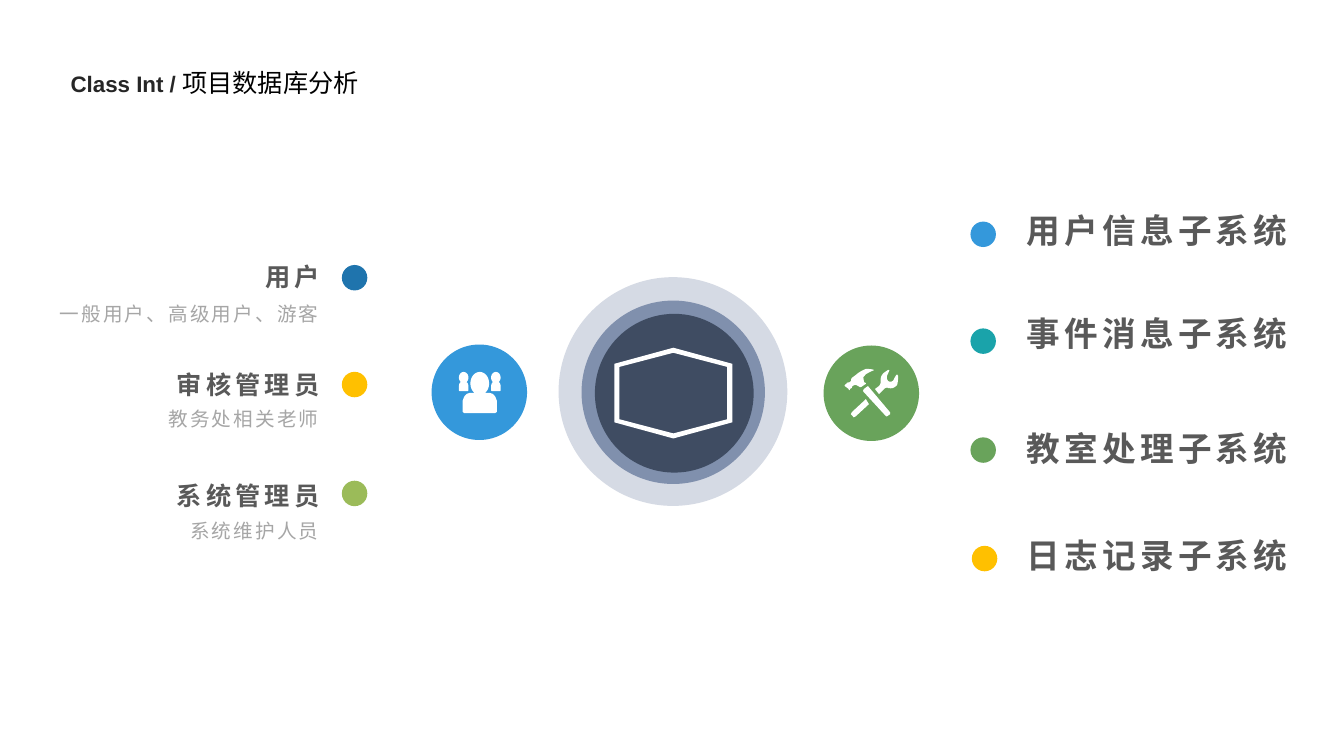
from dataclasses import dataclass
from math import cos, radians, sin

from lxml import etree
from pptx import Presentation
from pptx.dml.color import RGBColor
from pptx.enum import shapes as es, text as et
from pptx.oxml import ns
from pptx.util import Pt

CJK = "Noto Sans CJK SC"
Point = tuple[float, float]


@dataclass
class Circle:
    cx: float
    cy: float
    radius: float
    color: str


@dataclass
class Label:
    text: str
    left: float
    top: float
    width: float
    height: float
    style: dict
    right: bool = False
    heading: bool = True


@dataclass
class Person:
    cx: float
    head_y: float
    rx: float
    ry: float
    half: float
    bottom: float


def rgb(color: str) -> RGBColor:
    return RGBColor.from_string(color)


def paint(sp, color: str) -> None:
    sp.shadow.inherit = False
    sp.fill.solid()
    sp.fill.fore_color.rgb = rgb(color)
    sp.line.fill.background()


def add_run(p, words: str, color: str, spacing: float = 0, **font) -> None:
    r = p.add_run()
    r.text = words
    for name, value in font.items():
        setattr(r.font, name, value)
    r.font.color.rgb = rgb(color)
    props = r.font._element
    etree.SubElement(props, ns.qn("a:ea")).set("typeface", CJK)
    if spacing:
        props.set("spc", str(round(spacing * 100)))


def add_circle(s, c: Circle) -> None:
    box = (c.cx - c.radius, c.cy - c.radius, 2 * c.radius, 2 * c.radius)
    paint(s.shapes.add_shape(es.MSO_SHAPE.OVAL, *map(Pt, box)), c.color)


def add_label(s, d: Label) -> None:
    sp = s.shapes.add_textbox(*map(Pt, (d.left, d.top, d.width, d.height)))
    tf = sp.text_frame
    frame = {
        "word_wrap": True,
        "margin_top": Pt(3.6 if d.heading else 0),
        "margin_bottom": Pt(0 if d.heading else 3.6),
        "vertical_anchor": et.MSO_ANCHOR.BOTTOM if d.heading else et.MSO_ANCHOR.TOP,
        "auto_size": et.MSO_AUTO_SIZE.SHAPE_TO_FIT_TEXT if d.heading else et.MSO_AUTO_SIZE.NONE,
    }
    for name, value in frame.items():
        setattr(tf, name, value)
    p = tf.paragraphs[0]
    p.line_spacing = 1.2
    p.alignment = et.PP_ALIGN.RIGHT if d.right else et.PP_ALIGN.LEFT
    add_run(p, d.text, **d.style)


def add_outline(s, contours: list[list[Point]], color: str) -> None:
    scaled = [[(Pt(x), Pt(y)) for x, y in c] for c in contours]
    fb = s.shapes.build_freeform(*scaled[0][0], scale=1.0)
    for i, c in enumerate(scaled):
        if i:
            fb.move_to(*c[0])
        fb.add_line_segments(c[1:], close=True)
    paint(fb.convert_to_shape(), color)


def hexagon(half_w: float, half_h: float, side: float) -> list[Point]:
    corners = [(0, -half_h), (half_w, -side), (half_w, side),
               (0, half_h), (-half_w, side), (-half_w, -side)]
    return [(481 + x, 280.8 + y) for x, y in corners]


def person(d: Person) -> list[Point]:
    """Outline of a head above rounded shoulders."""
    neck = d.head_y + d.ry * sin(radians(55))
    profile = [(0.9, 1), (1, 0.92), (1, 0.4), (0.9, 0.18), (0.75, 0.05), (0.56, 0)]
    sides = [(x * d.half, neck + y * (d.bottom - neck)) for x, y in profile]
    head = [(d.cx + d.rx * cos(radians(a)), d.head_y + d.ry * sin(radians(a)))
            for a in range(125, 416, 10)]
    return ([(d.cx - x, y) for x, y in sides] + head
            + [(d.cx + x, y) for x, y in reversed(sides)])


def trace(segments: list[tuple], left: float, top: float, unit: float) -> list[Point]:
    """Pairs are corners; sextuples are Bézier curves, cut into short lines."""
    pts = [segments[0]]
    for seg in segments[1:]:
        if len(seg) == 2:
            pts.append(seg)
            continue
        ctrl = [pts[-1], seg[:2], seg[2:4], seg[4:]]
        for t in (0.2, 0.4, 0.6, 0.8, 1):
            w = ((1 - t) ** 3, 3 * t * (1 - t) ** 2, 3 * t * t * (1 - t), t ** 3)
            pts.append(tuple(sum(k * c[i] for k, c in zip(w, ctrl)) for i in (0, 1)))
    return [(left + x * unit, top + y * unit) for x, y in pts]


prs = Presentation()
prs.slide_width, prs.slide_height = Pt(960), Pt(540)
s = prs.slides.add_slide(prs.slide_layouts[5])

# Title
sp = s.shapes.title
for name, value in {"left": 43.2, "top": 38.2, "width": 221, "height": 35.3}.items():
    setattr(sp, name, Pt(value))
tf = sp.text_frame
for name, value in {"word_wrap": True, "vertical_anchor": et.MSO_ANCHOR.TOP,
                    "auto_size": et.MSO_AUTO_SIZE.SHAPE_TO_FIT_TEXT}.items():
    setattr(tf, name, value)
p = tf.paragraphs[0]
for name, value in {"alignment": et.PP_ALIGN.LEFT, "line_spacing": 1.3,
                    "space_before": Pt(10), "space_after": Pt(10)}.items():
    setattr(p, name, value)
add_run(p, "Class Int / ", "262626", name="Arial", size=Pt(16), bold=True)
add_run(p, "项目数据库分析", "000000", name=CJK, size=Pt(18), bold=False)

# Central emblem and the two side discs
for c in (Circle(622.4, 280.9, 34.1, "69A35B"),
          Circle(480.7, 279.7, 81.7, "D5DAE4"),
          Circle(480.9, 280.2, 65.5, "8090AD"),
          Circle(481.6, 280.9, 56.7, "3F4C62"),
          Circle(342.4, 280.2, 34.1, "3498DB")):
    add_circle(s, c)
add_outline(s, [hexagon(42.1, 32.4, 20.9), hexagon(38.5, 28.8, 18.7)], "FFFFFF")

# People icon
people = [Person(331.2, 269.7, 3.4, 4, 3.4, 279.4),
          Person(342.7, 273.9, 6.7, 8.2, 12.3, 295.2),
          Person(354.2, 269.7, 3.4, 4, 3.4, 279.4)]
add_outline(s, [person(d) for d in people], "FFFFFF")

# Tools icon, on a grid of 0.72 pt
hammer = [(8, 17), (10, 15, 12, 16, 15, 18), (16, 18), (17, 18, 20, 15, 21, 15),
          (21, 14), (20, 14, 19, 13, 19, 12), (14, 5, 32, 1, 29, 1),
          (27, 0, 22, 0, 21, 0), (18, 1, 13, 4, 11, 6), (7, 9),
          (6, 10, 7, 12, 5, 13), (4, 14, 3, 13, 2, 14), (2, 15, 1, 15, 0, 16),
          (0, 17), (4, 20), (4, 21, 4, 21, 5, 21), (5, 20, 6, 19, 7, 19),
          (7, 19, 7, 17, 8, 17)]
handle = [(23, 17), (19, 20), (18, 22), (41, 47), (42, 47), (45, 45), (45, 43)]
wrench = [(53, 7), (52, 5, 52, 6, 51, 6), (51, 7, 49, 9, 49, 10),
          (48, 12, 46, 14, 43, 12), (41, 9, 42, 8, 42, 7), (42, 6, 44, 3, 44, 2),
          (45, 2, 44, 1, 43, 1), (42, 2, 37, 4, 36, 8), (35, 11, 37, 14, 34, 17),
          (30, 20), (34, 25), (39, 20), (40, 19, 42, 18, 43, 19),
          (48, 20, 50, 18, 52, 16), (53, 13, 53, 8, 53, 7)]
grip = [(7, 43), (6, 45), (9, 48), (11, 47), (24, 35), (21, 30)]
add_outline(s, [trace(c, 603.4, 263.5, 0.72) for c in (hammer, handle, wrench, grip)],
            "FFFFFF")

# Roles on the left
HEAD = {"name": CJK, "color": "595959", "spacing": 3, "bold": True}
ROLE = HEAD | {"size": Pt(18)}
DETAIL = {"name": CJK, "color": "A6A6A6", "spacing": 1.5, "size": Pt(14)}
for role, detail, top, detail_top, dot_y, color in (
        ("用户", "一般用户、高级用户、游客", 178.6, 212.4, 198.4, "1F74AD"),
        ("审核管理员", "教务处相关老师", 255.6, 287.3, 274.7, "FFC000"),
        ("系统管理员", "系统维护人员", 335.5, 367.2, 352.5, "9BBB59")):
    add_label(s, Label(role, 25.2, top, 210.2, 29.5, ROLE, right=True))
    add_label(s, Label(detail, 25.2, detail_top, 209.5, 26, DETAIL, right=True, heading=False))
    add_circle(s, Circle(253.3, dot_y, 9.1, color))

# Subsystems on the right
SYSTEM = HEAD | {"size": Pt(24)}
for system, top, dot_x, dot_y, color in (
        ("用户信息子系统", 140.4, 702.3, 167.4, "3498DB"),
        ("事件消息子系统", 213.8, 702.3, 243.7, "1AA3AA"),
        ("教室处理子系统", 295.9, 702.3, 321.5, "69A35B"),
        ("日志记录子系统", 373, 703.3, 399, "FFC000")):
    add_label(s, Label(system, 726.5, top, 208, 38.2, SYSTEM))
    add_circle(s, Circle(dot_x, dot_y, 9.1, color))

prs.save("out.pptx")
